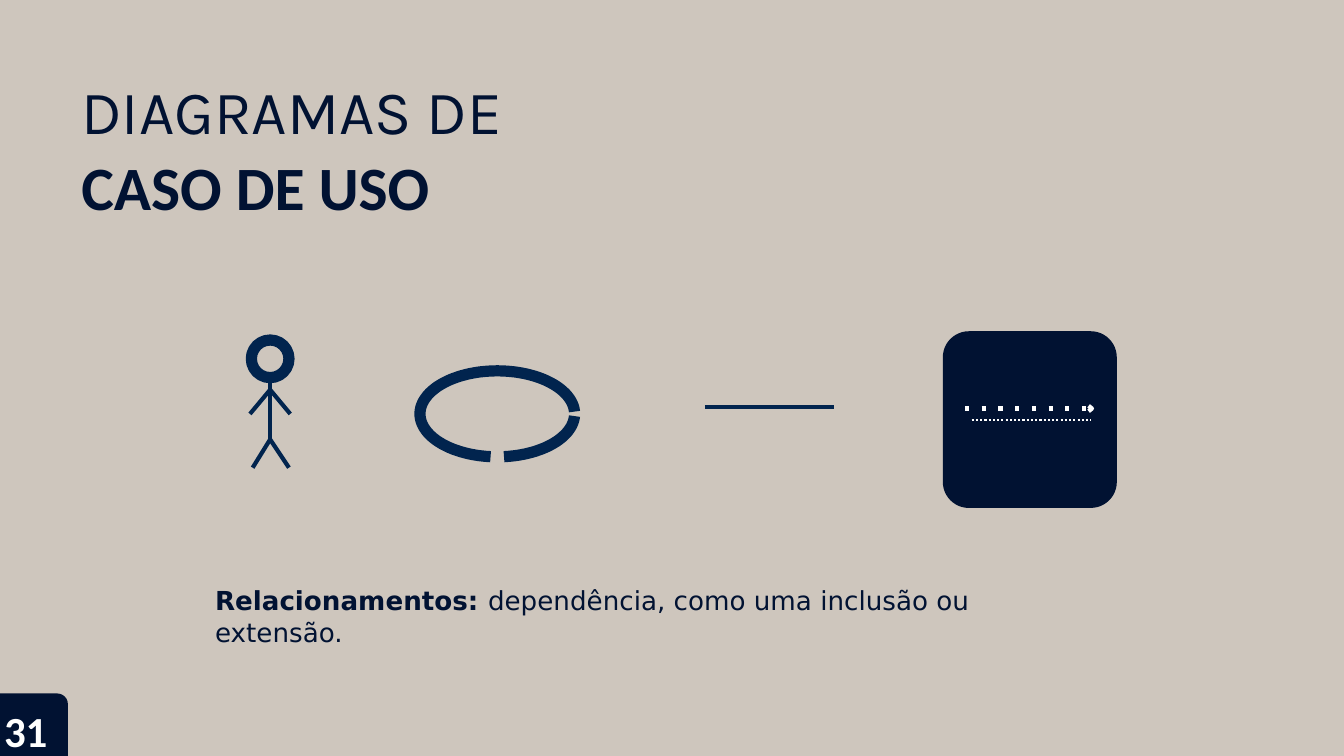
from math import cos, radians, sin

from lxml.etree import SubElement
from pptx import Presentation
from pptx.dml.color import RGBColor
from pptx.enum.shapes import MSO_CONNECTOR, MSO_SHAPE
from pptx.enum.text import MSO_ANCHOR, MSO_AUTO_SIZE, PP_ALIGN
from pptx.oxml.ns import qn
from pptx.util import Pt

PX = 4572  # 200 px to the inch
FINE = 20  # steps per px on the curved outline
NAVY, BLUE, WHITE, SAND = "011232", "01244E", "FFFFFF", "CEC6BD"


def color(hex_text):
    return RGBColor.from_string(hex_text)


def prepare_text(box, left, top, width, height, inset_left, inset_top, paragraphs):
    """Place a text box and write its paragraphs: (runs, font, size, colour)."""
    box.left, box.top, box.width, box.height = (v * PX for v in (left, top, width, height))
    frame = box.text_frame
    frame.word_wrap = True
    frame.auto_size = MSO_AUTO_SIZE.NONE
    frame.vertical_anchor = MSO_ANCHOR.TOP
    frame.margin_left, frame.margin_top = inset_left * PX, inset_top * PX
    frame.margin_right = frame.margin_bottom = 0
    for index, (runs, font, size, hex_text) in enumerate(paragraphs):
        paragraph = frame.add_paragraph() if index else frame.paragraphs[0]
        paragraph.alignment = PP_ALIGN.LEFT
        paragraph.space_before = Pt(1 if index else 0)
        paragraph.font.name, paragraph.font.size = font, Pt(size)
        paragraph.font.color.rgb = color(hex_text)
        for text, bold in runs:
            run = paragraph.add_run()
            run.text = text
            run.font.bold = bold


prs = Presentation()
prs.slide_width, prs.slide_height = 2000 * PX, 1125 * PX
slide = prs.slides.add_slide(prs.slide_layouts[5])
slide.background.fill.solid()
slide.background.fill.fore_color.rgb = color(SAND)
shapes = slide.shapes

# Page number tab and the panel behind the dependency arrow
for preset, left, top, width, height, corner in (
    (MSO_SHAPE.ROUND_1_RECTANGLE, 0, 1032, 101, 93, 0.17),
    (MSO_SHAPE.ROUNDED_RECTANGLE, 1403, 493, 259, 263, 0.15),
):
    panel = shapes.add_shape(preset, left * PX, top * PX, width * PX, height * PX)
    panel.adjustments[0] = corner
    panel.shadow.inherit = False
    panel.fill.solid()
    panel.fill.fore_color.rgb = color(NAVY)
    panel.line.fill.background()

# Actor's head
head = shapes.add_shape(MSO_SHAPE.OVAL, 374 * PX, 506 * PX, 56 * PX, 56 * PX)

# Use case: an ellipse with gaps at its right and bottom
upper_and_lower_arcs = [
    [
        (FINE * (740 + 115 * cos(radians(a))), FINE * (616 + 64 * sin(radians(a))))
        for a in range(start, end + 1, 2)
    ]
    for start, end in ((3, 85), (95, 357))
]
use_case_builder = shapes.build_freeform(*upper_and_lower_arcs[0][0], scale=PX / FINE)
for arc in upper_and_lower_arcs:
    use_case_builder.move_to(*arc[0])
    use_case_builder.add_line_segments(arc[1:], close=False)
use_case = use_case_builder.convert_to_shape()

arrow_builder = shapes.build_freeform(1620, 604, scale=PX)
arrow_builder.add_line_segments([(1625, 608), (1620, 612)], close=False)
arrow_tip = arrow_builder.convert_to_shape()

for outline, hex_text, weight in (
    (head, BLUE, 6),
    (use_case, BLUE, 6),
    (arrow_tip, WHITE, 2.25),
):
    outline.shadow.inherit = False
    outline.fill.background()
    outline.line.color.rgb = color(hex_text)
    outline.line.width = Pt(weight)

# Actor's body and limbs, association line, dependency lines
for x1, y1, x2, y2, hex_text, weight, dash in (
    (402, 562, 402, 658, BLUE, 2.25, None),
    (402, 580, 432, 616, BLUE, 2.25, None),
    (402, 580, 372, 616, BLUE, 2.25, None),
    (402, 654, 430, 696, BLUE, 2.25, None),
    (402, 654, 376, 696, BLUE, 2.25, None),
    (1049, 606, 1241, 606, BLUE, 2.25, None),
    (1436, 608, 1626, 608, WHITE, 2.25, "dot"),
    (1446, 625, 1624, 625, WHITE, 1.12, "sysDot"),
):
    stroke = shapes.add_connector(
        MSO_CONNECTOR.STRAIGHT, x1 * PX, y1 * PX, x2 * PX, y2 * PX
    )
    stroke.line.color.rgb = color(hex_text)
    stroke.line.width = Pt(weight)
    if dash:
        SubElement(stroke.line._get_or_add_ln(), qn("a:prstDash"), val=dash)
    SubElement(stroke._element.spPr, qn("a:effectLst"))

prepare_text(shapes.title, 118, 107, 760, 228, 3, 2, [
    ([("DIAGRAMAS DE", False)], "Karla", 33, NAVY),
    ([("CASO DE USO", True)], "Calibri", 33, NAVY),
])
prepare_text(shapes.add_textbox(0, 0, 0, 0), 318, 868, 1318, 96, 2, 2, [
    ([("Relacionamentos: ", True),
      ("dependência, como uma inclusão ou extensão.", False)],
     "DejaVu Sans", 14, NAVY),
])
prepare_text(shapes.add_textbox(0, 0, 0, 0), 0, 1042, 130, 83, 6, 6, [
    ([("31", True)], "Calibri", 23, WHITE),
])

prs.save("out.pptx")
